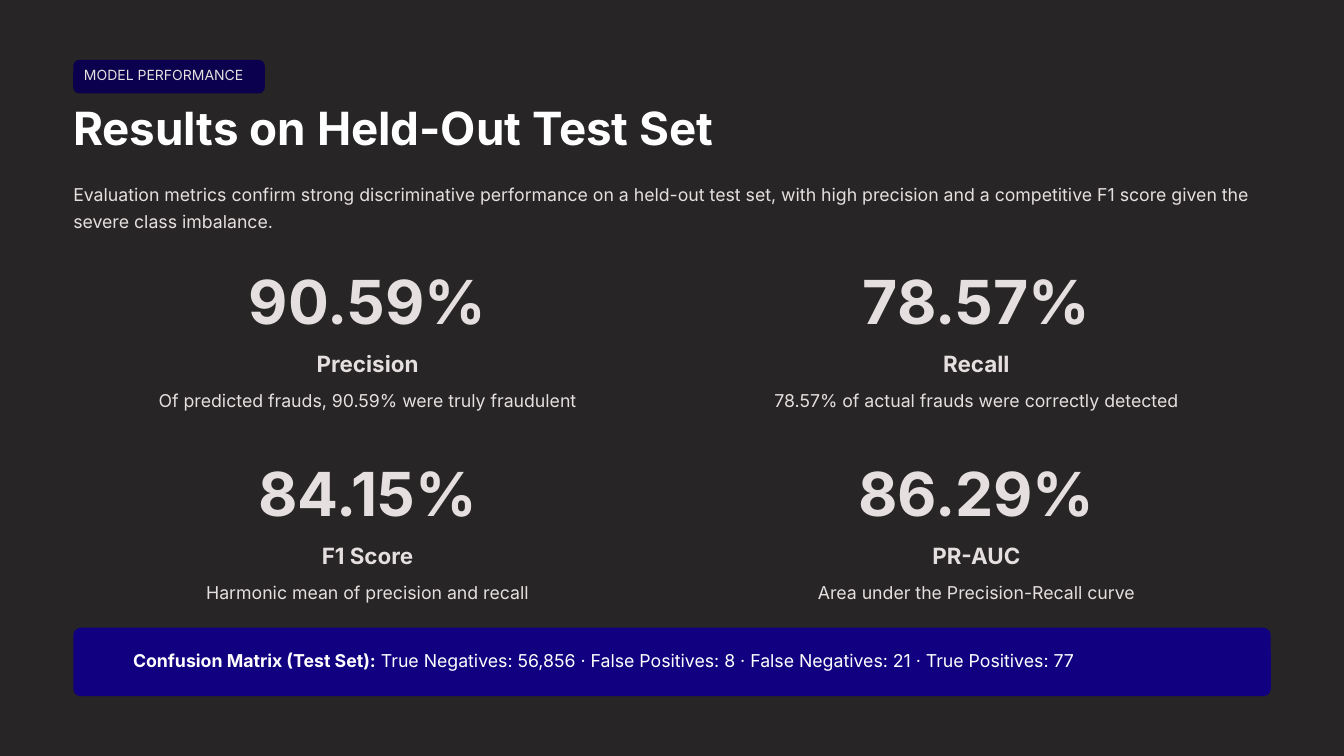
from collections import namedtuple
from dataclasses import dataclass

from pptx import Presentation
from pptx.dml.color import RGBColor
from pptx.enum.shapes import MSO_SHAPE
from pptx.enum.text import MSO_ANCHOR, MSO_AUTO_SIZE, PP_ALIGN
from pptx.util import Inches, Pt

Box = namedtuple("Box", "left top width height")
Style = namedtuple("Style", "size line color bold")


@dataclass(frozen=True)
class Theme:
    """Colours, font and type styles of the deck."""
    font: str = "Inter"
    back: str = "272525"
    badge: str = "0A004D"
    panel: str = "110080"
    tag: Style = Style(15, 22.7, "E5E0DF", False)
    title: Style = Style(49, 61.1, "FFFFFF", True)
    body: Style = Style(19, 28.7, "E5E0DF", False)
    value: Style = Style(65, 64.7, "E5E0DF", True)
    label: Style = Style(24, 29.9, "E5E0DF", True)
    note: Style = Style(19, 28.7, "FFFFFF", False)


THEME = Theme()
METRICS = [
    ("90.59%", "Precision", "Of predicted frauds, 90.59% were truly fraudulent"),
    ("78.57%", "Recall", "78.57% of actual frauds were correctly detected"),
    ("84.15%", "F1 Score", "Harmonic mean of precision and recall"),
    ("86.29%", "PR-AUC", "Area under the Precision-Recall curve"),
]


def place(shape, box):
    """Move a shape to a box given in inches."""
    shape.left, shape.top, shape.width, shape.height = map(Inches, box)


def write(shape, text, style, align=PP_ALIGN.LEFT):
    """Fill a shape with one styled paragraph and return it."""
    frame = shape.text_frame
    frame.word_wrap = True
    frame.auto_size = MSO_AUTO_SIZE.NONE
    frame.vertical_anchor = MSO_ANCHOR.TOP
    frame.margin_left = frame.margin_right = 0
    frame.margin_top = frame.margin_bottom = 0
    frame.text = text
    para = frame.paragraphs[0]
    para.alignment = align
    para.line_spacing = Pt(style.line)
    for run in para.runs:
        paint(run, style)
    return para


def paint(run, style):
    """Give a run the font of a style."""
    run.font.name = THEME.font
    run.font.size = Pt(style.size)
    run.font.bold = style.bold
    run.font.color.rgb = RGBColor.from_string(style.color)


def label(slide, box, text, style, align=PP_ALIGN.LEFT):
    """Add a text box and return its paragraph."""
    shape = slide.shapes.add_textbox(*map(Inches, box))
    return write(shape, text, style, align)


def panel(slide, box, color, radius):
    """Add a plain rounded panel."""
    shape = slide.shapes.add_shape(MSO_SHAPE.ROUNDED_RECTANGLE, *map(Inches, box))
    shape.adjustments[0] = radius / box.height
    shape.shadow.inherit = False
    shape.fill.solid()
    shape.fill.fore_color.rgb = RGBColor.from_string(color)
    shape.line.fill.background()


def header(slide, box):
    """Place the badge, title and introduction."""
    left, top, width, _ = box
    panel(slide, Box(left, top, 2.85, 0.5), THEME.badge, 0.09)
    label(slide, Box(left + 0.16, top + 0.03, 2.6, 0.39), "MODEL PERFORMANCE", THEME.tag)
    title = slide.shapes.title
    place(title, Box(left, top + 0.57, width, 0.89))
    write(title, "Results on Held-Out Test Set", THEME.title)
    label(slide, Box(left, top + 1.77, width, 0.9),
          "Evaluation metrics confirm strong discriminative performance on a "
          "held-out test set, with high precision and a competitive F1 score "
          "given the severe class imbalance.", THEME.body)


def metric(slide, box, texts):
    """Stack a value, its name and its meaning."""
    rows = [(0, 0.78, THEME.value), (1.08, 0.44, THEME.label), (1.61, 0.48, THEME.body)]
    for text, (drop, height, style) in zip(texts, rows):
        spot = Box(box.left, box.top + drop, box.width, height)
        label(slide, spot, text, style, PP_ALIGN.CENTER)


def grid(slide, box, gap=(0.3, 0.77)):
    """Lay the metrics out two by two."""
    width = (box.width - gap[0]) / 2
    height = (box.height - gap[1]) / 2
    for index, texts in enumerate(METRICS):
        row, col = divmod(index, 2)
        metric(slide, Box(box.left + col * (width + gap[0]),
                          box.top + row * (height + gap[1]), width, height), texts)


def footer(slide, box):
    """Place the confusion matrix panel."""
    panel(slide, box, THEME.panel, 0.11)
    spot = Box(box.left + 0.89, box.top + 0.25, box.width - 1.78, 0.48)
    para = label(slide, spot, "Confusion Matrix (Test Set):", THEME.note)
    para.runs[0].font.bold = True
    rest = para.add_run()
    rest.text = (" True Negatives: 56,856 · False Positives: 8 · "
                 "False Negatives: 21 · True Positives: 77")
    paint(rest, THEME.note)


def main():
    """Build and save the slide."""
    deck = Presentation()
    deck.slide_width, deck.slide_height = Inches(20), Inches(11.25)
    slide = deck.slides.add_slide(deck.slide_layouts[5])
    slide.background.fill.solid()
    slide.background.fill.fore_color.rgb = RGBColor.from_string(THEME.back)
    left, width = 1.09, 17.82
    header(slide, Box(left, 0.89, width, 2.67))
    grid(slide, Box(left, 4.11, width, 4.95))
    footer(slide, Box(left, 9.34, width, 1.02))
    deck.save("out.pptx")


if __name__ == "__main__":
    main()
